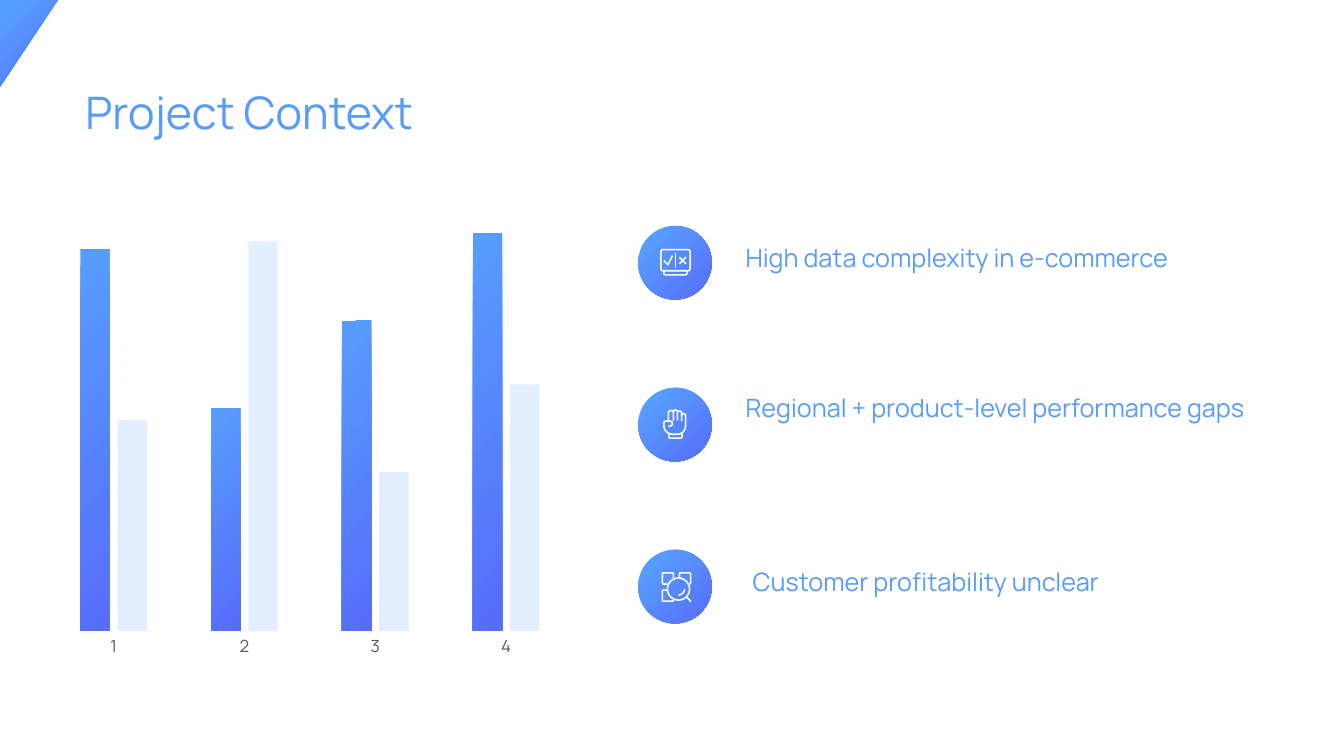
from math import cos, radians, sin

from lxml import etree
from pptx import Presentation
from pptx import util as u
from pptx.chart import data as chart_data
from pptx.dml.color import RGBColor
from pptx.enum import chart as charts, shapes, text
from pptx.oxml import parse_xml
from pptx.oxml.ns import nsdecls, qn

Cm = u.Cm
COLOURS = {
    "sky": "579DFD", "indigo": "576CF9",
    "text_sky": "579BFD", "text_indigo": "576EF9",
    "pale": "73ABFD", "label": "595959", "white": "FFFFFF",
}
FONT = "Manrope"
ICON_UNIT = 0.0254  # cm per step of the icon grid
BADGE = 1.86


def rgb(name):
    return RGBColor.from_string(COLOURS[name])


def set_all(target, values):
    for name, value in values.items():
        setattr(target, name, value)


def blend(fill, first="sky", last="indigo", start=0.0, angle=45):
    """Clockwise linear gradient between two colours."""
    fill.gradient()
    fill.gradient_angle = 360 - angle
    for stop, colour, position in zip(fill.gradient_stops, (first, last), (start, 1.0)):
        stop.color.rgb = rgb(colour)
        stop.position = position


# Icon geometry: strokes around the centre of a badge
def arc(x, y, radius, start, end):
    steps = max(4, abs(end - start) // 15)
    angles = [radians(start + (end - start) * i / steps) for i in range(steps + 1)]
    return [(x + radius * cos(a), y + radius * sin(a)) for a in angles]


def rounded(left, top, right, bottom, r):
    outline = (arc(left + r, top + r, r, 180, 270) + arc(right - r, top + r, r, 270, 360)
               + arc(right - r, bottom - r, r, 0, 90) + arc(left + r, bottom - r, r, 90, 180))
    return outline + outline[:1]


SCREEN_ICON = [
    rounded(-14, -13, 15, 8, 2),
    [(-11, 8)] + arc(-9.5, 10.5, 1.5, 180, 90) + arc(10.5, 10.5, 1.5, 90, 0) + [(12, 8)],
    [(-11, -2), (-7, 2), (-2.5, -7)],
    [(0.5, -9.5), (0.5, 5)],
    [(4.5, -5.5), (11, 1)],
    [(11, -5.5), (4.5, 1)],
]
FIST_ICON = [
    [(-6.5, -3.5)] + arc(-4, -11.5, 2.5, 180, 360) + [(-1.5, -4)],
    arc(0.5, -12.5, 2, 180, 360) + [(2.5, -4.5)],
    arc(4.5, -11.5, 2, 200, 360) + [(6.5, -3.5)],
    arc(8.5, -9, 2, 180, 360) + arc(2.5, 1.5, 8, 0, 90) + arc(-2.5, 1, 8.5, 90, 180)
    + arc(-9, -1.5, 2, 180, 270) + arc(-5, -1, 2.5, 270, 450) + [(-6.5, 1.5)],
    [(-6, 9)] + arc(-4.5, 12, 1.5, 180, 90) + arc(5.5, 12, 1.5, 90, 0) + [(7, 9)],
]
SEARCH_ICON = [
    [(-7.5, -2.5)] + arc(-11.5, -3.5, 1, 90, 180) + arc(-11.5, -12.5, 1, 180, 270)
    + arc(-2.5, -12.5, 1, 270, 360) + [(-1.5, -8.5)],
    [(4.5, -8.5)] + arc(5.5, -12.5, 1, 180, 270) + arc(14.5, -12.5, 1, 270, 360)
    + arc(14.5, -3.5, 1, 0, 90),
    [(-7.5, 3.5)] + arc(-11.5, 4.5, 1, 270, 180) + arc(-11.5, 13.5, 1, 180, 90)
    + arc(-2.5, 13.5, 1, 90, 0),
    arc(3.5, 2.5, 11, 0, 360),
    arc(3.5, 2.5, 6, 0, 90),
    [(11.5, 10.5), (16, 15)],
]


def add_corner(page, left, top, width, height):
    """Gradient triangle in the slide corner."""
    builder = page.shapes.build_freeform(Cm(left), Cm(top))
    builder.add_line_segments([(Cm(left + width), Cm(top)), (Cm(left), Cm(top + height))])
    corner = builder.convert_to_shape()
    corner.shadow.inherit = False
    corner.line.fill.background()
    blend(corner.fill, start=0.17)


def add_text(page, wording, size, left, top, width, height):
    box = page.shapes.add_textbox(Cm(left), Cm(top), Cm(width), Cm(height))
    set_all(box.text_frame, {"word_wrap": True,
                             "auto_size": text.MSO_AUTO_SIZE.SHAPE_TO_FIT_TEXT})
    span = box.text_frame.paragraphs[0].add_run()
    span.text = wording
    set_all(span.font, {"name": FONT, "size": u.Pt(size)})
    blend(span.font.fill, "text_sky", "text_indigo", angle=90)


def add_column_chart(page, left, top, width, height):
    data = chart_data.CategoryChartData()
    data.categories = ["1", "2", "3", "4"]
    data.add_series("Series 1", (96, 56, 78, 100))
    data.add_series("Series 2", (53, 98, 40, 62))
    chart = page.shapes.add_chart(charts.XL_CHART_TYPE.COLUMN_CLUSTERED, Cm(left), Cm(top),
                                  Cm(width), Cm(height), data).chart
    set_all(chart, {"has_legend": False, "has_title": False})
    set_all(chart.font, {"name": FONT, "size": u.Pt(10)})
    plot = chart.plots[0]
    set_all(plot, {"gap_width": 219, "overlap": -27, "vary_by_categories": False})

    # Axes
    set_all(chart.value_axis, {"visible": False, "has_major_gridlines": False,
                               "minimum_scale": 0, "maximum_scale": 100})
    axis = chart.category_axis
    set_all(axis, {"major_tick_mark": charts.XL_TICK_MARK.NONE,
                   "minor_tick_mark": charts.XL_TICK_MARK.NONE})
    axis.format.line.fill.background()
    set_all(axis.tick_labels.font, {"name": FONT, "size": u.Pt(12)})
    axis.tick_labels.font.color.rgb = rgb("label")

    # Columns
    strong, faint = plot.series
    blend(strong.format.fill)
    faint.format.fill.solid()
    faint.format.fill.fore_color.rgb = rgb("pale")
    colour = faint.format.fill._xPr.find(f".//{qn('a:srgbClr')}")
    etree.SubElement(colour, qn("a:alpha"), val="20000")

    # Plot area within the chart
    area = chart._chartSpace.find(f".//{qn('c:plotArea')}")
    for layout in area.findall(qn("c:layout")):
        area.remove(layout)
    places = {"layoutTarget": "inner", "xMode": "edge", "yMode": "edge",
              "x": 0.02, "y": 0.11, "w": 0.96, "h": 0.81}
    marks = "".join(f'<c:{name} val="{value}"/>' for name, value in places.items())
    area.insert(0, parse_xml(f"<c:layout {nsdecls('c')}><c:manualLayout>{marks}"
                             "</c:manualLayout></c:layout>"))


def add_badge(page, strokes, left, top, size):
    """Gradient disc with a white line icon at its centre."""
    disc = page.shapes.add_shape(shapes.MSO_SHAPE.OVAL, Cm(left), Cm(top), Cm(size), Cm(size))
    disc.shadow.inherit = False
    disc.line.fill.background()
    blend(disc.fill, start=0.17)
    icon = page.shapes.add_group_shape()
    for stroke in strokes:
        points = [(Cm(left + size / 2 + x * ICON_UNIT), Cm(top + size / 2 + y * ICON_UNIT))
                  for x, y in stroke]
        builder = icon.shapes.build_freeform(*points[0])
        builder.add_line_segments(points[1:], close=False)
        line = builder.convert_to_shape()
        line.shadow.inherit = False
        line.fill.background()
        line.line.color.rgb = rgb("white")
        line.line.width = u.Pt(1.1)


def add_points(page, left, top, pitch):
    """Column of badges, each with its statement."""
    points = [
        (SCREEN_ICON, "High data complexity in e-commerce", 2.46, 0.28, 14.17, 1.02),
        (FIST_ICON, "Regional + product-level performance gaps", 2.46, 0, 14.02, 1.8),
        (SEARCH_ICON, "Customer profitability unclear", 2.64, 0.3, 13.84, 1.02),
    ]
    for row, (icon, wording, dx, dy, width, height) in enumerate(points):
        y = top + row * pitch
        add_badge(page, icon, left, y, BADGE)
        add_text(page, wording, 18, left + dx, y + dy, width, height)


def main():
    deck = Presentation()
    set_all(deck, {"slide_width": Cm(33.87), "slide_height": Cm(19.05)})
    page = deck.slides.add_slide(deck.slide_layouts[6])
    add_text(page, "Project Context", 32, 1.9, 2.01, 11.33, 1.63)
    add_corner(page, 0, 0, 1.46, 2.19)
    add_column_chart(page, 0.94, 4.52, 13.74, 12.37)
    add_points(page, 16.08, 5.69, 4.08)
    deck.save("out.pptx")


if __name__ == "__main__":
    main()
